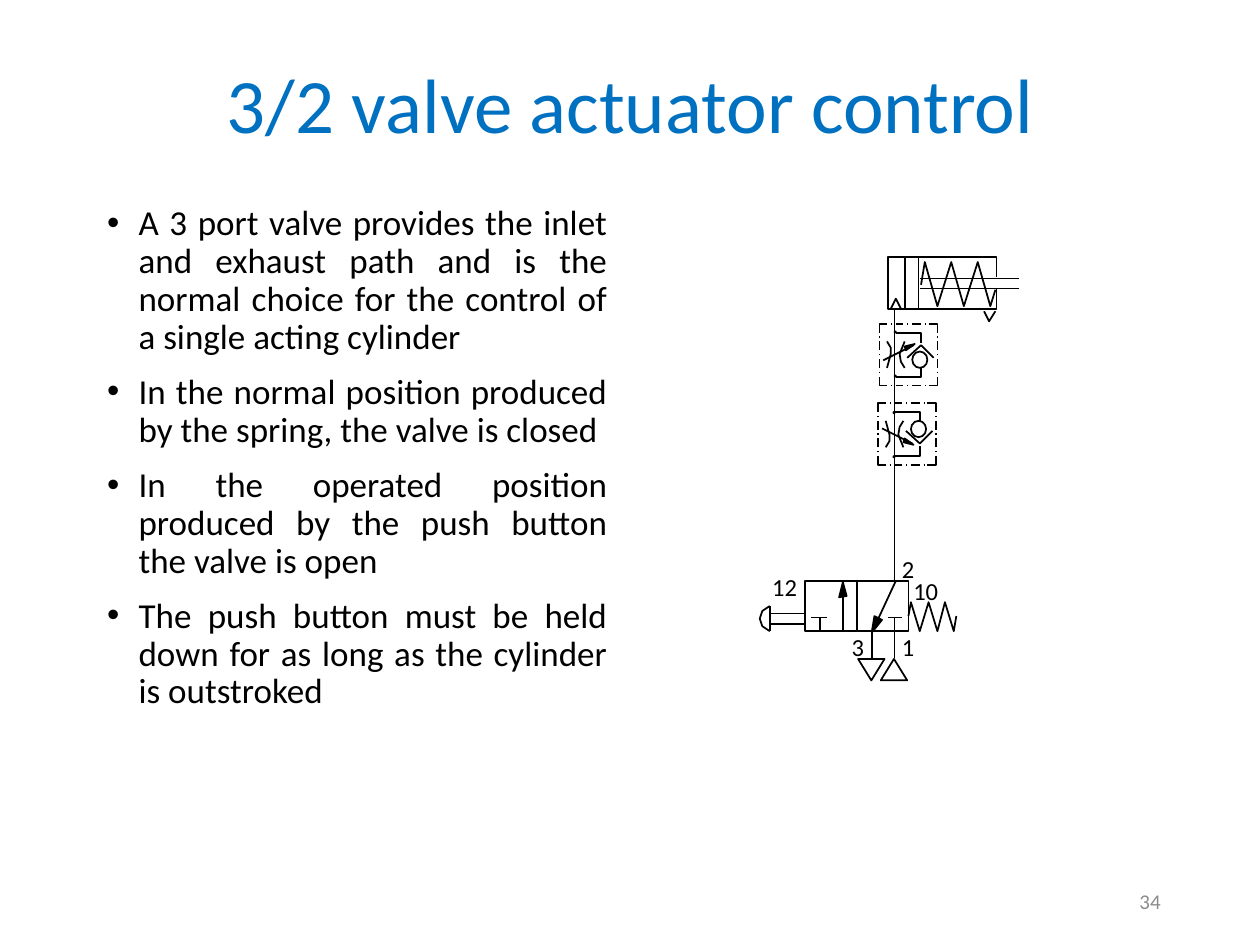
from lxml import etree
from pptx import Presentation
from pptx.dml.color import RGBColor
from pptx.enum.shapes import MSO_CONNECTOR, MSO_SHAPE
from pptx.enum.text import MSO_ANCHOR, MSO_AUTO_SIZE, PP_ALIGN
from pptx.oxml.ns import qn
from pptx.util import Pt

PX = 9144
FONT = "Calibri"
BLUE = RGBColor(0x00, 0x70, 0xC0)
BLACK = RGBColor(0x00, 0x00, 0x00)
GRAY = RGBColor(0x8C, 0x8C, 0x8C)
STRAIGHT = MSO_CONNECTOR.STRAIGHT
RECT = MSO_SHAPE.RECTANGLE
OVAL = MSO_SHAPE.OVAL
TRIANGLE = MSO_SHAPE.ISOSCELES_TRIANGLE
CENTER, JUSTIFY, RIGHT = PP_ALIGN.CENTER, PP_ALIGN.JUSTIFY, PP_ALIGN.RIGHT
MIDDLE = MSO_ANCHOR.MIDDLE
FIT_SHAPE = MSO_AUTO_SIZE.SHAPE_TO_FIT_TEXT

BULLETS = [
    "A 3 port valve provides the inlet and exhaust path and is the normal "
    "choice for the control of a single acting cylinder",
    "In the normal position produced by the spring, the valve is closed",
    "In the operated position produced by the push button the valve is open",
    "The push button must be held down for as long as the cylinder is outstroked",
]


def px(*values):
    return [v * PX for v in values]


def place(sp, *box):
    sp.left, sp.top, sp.width, sp.height = px(*box)


def style_font(p, size, color):
    for r in p.runs:
        r.font.name = FONT
        r.font.size = Pt(size)
        r.font.color.rgb = color


def style_shape(sp, filled):
    sp.shadow.inherit = False
    if filled:
        sp.fill.solid()
        sp.fill.fore_color.rgb = BLACK
    else:
        sp.fill.background()
    sp.line.color.rgb = BLACK
    sp.line.width = Pt(1)


def add_line(shapes, x1, y1, x2, y2):
    line = shapes.add_connector(STRAIGHT, *px(x1, y1, x2, y2))
    line.line.color.rgb = BLACK
    line.line.width = Pt(1)
    etree.SubElement(line._element.spPr, qn("a:effectLst"))


def add_path(shapes, points, filled=False):
    builder = shapes.build_freeform(*points[0], scale=PX)
    builder.add_line_segments(points[1:], close=filled)
    style_shape(builder.convert_to_shape(), filled)


def add_preset(shapes, kind, x, y, w, h, filled=False):
    sp = shapes.add_shape(kind, *px(x, y, w, h))
    style_shape(sp, filled)
    return sp


def add_label(shapes, text, x, y, w):
    tf = shapes.add_textbox(*px(x, y, w, 33)).text_frame
    tf.word_wrap = False
    tf.auto_size = FIT_SHAPE
    tf.text = text
    style_font(tf.paragraphs[0], 14, BLACK)


def fill_title(sp):
    place(sp, 127, 46, 747, 81)
    tf = sp.text_frame
    tf.text = "3/2 valve actuator control"
    tf.vertical_anchor = MIDDLE
    p = tf.paragraphs[0]
    p.alignment = CENTER
    p.line_spacing = 0.9
    style_font(p, 44, BLUE)


def fill_body(sp):
    place(sp, 75, 158, 417, 492)
    tf = sp.text_frame
    for i, text in enumerate(BULLETS):
        p = tf.add_paragraph() if i else tf.paragraphs[0]
        p.text = text
        pPr = p._p.get_or_add_pPr()
        pPr.set("marL", str(25 * PX))
        pPr.set("indent", str(-25 * PX))
        p.alignment = JUSTIFY
        p.line_spacing = 0.9
        p.space_before = Pt(10 if i else 0)
        style_font(p, 20, BLACK)


def draw_cylinder(shapes):
    rod = shapes.add_group_shape().shapes
    for y in (221, 229):
        add_line(rod, 730, y, 809, y)
    for x in (729, 718):
        add_line(rod, x, 204, x, 246)
    add_path(shapes, [(791, 220), (791, 204), (705, 204), (705, 245), (791, 245), (791, 229)])
    add_path(shapes, [(790, 230), (786, 243), (776, 208), (765, 243),
                      (755, 208), (744, 243), (734, 208), (731, 226)])
    add_path(shapes, [(707, 245), (711, 237), (715, 245)])
    add_path(shapes, [(781, 247), (785, 255), (790, 247)])


def draw_valve(shapes):
    for x in (710, 692):
        add_line(shapes, x, 501, x, 522)
    for left, stem, right in ((705, 710, 716), (644, 651, 656)):
        add_line(shapes, stem, 490, stem, 502)
        add_line(shapes, left, 490, right, 490)
    add_path(shapes, [(669, 462), (666, 474), (672, 473)], True)
    add_path(shapes, [(692, 502), (692, 501), (694, 489), (700, 492)], True)
    add_preset(shapes, RECT, 639, 461, 82, 40)
    add_line(shapes, 680, 460, 680, 502)
    add_line(shapes, 711, 461, 692, 502)
    add_line(shapes, 669, 502, 669, 461)
    for text, x, y, w in (("1", 706, 497, 31), ("2", 706, 435, 31), ("3", 666, 497, 31),
                          ("12", 603, 449, 42), ("10", 715, 452, 42)):
        add_label(shapes, text, x, y, w)
    add_preset(shapes, TRIANGLE, 699, 523, 21, 17)
    add_preset(shapes, TRIANGLE, 681, 523, 21, 17).rotation = 180
    add_path(shapes, [(759, 489), (757, 501), (750, 478), (744, 501),
                      (737, 478), (730, 501), (723, 478), (721, 489)])
    add_line(shapes, 611, 481, 611, 501)
    add_path(shapes, [(611, 481), (605, 485), (603, 491), (605, 497), (611, 501)])
    for y in (487, 495):
        add_line(shapes, 612, y, 638, y)


def draw_flow_control(shapes, x, y, d):
    def path(*points, filled=False):
        add_path(shapes, [(x + u, y + d * v) for u, v in points], filled)

    def line(u1, v1, u2, v2):
        add_line(shapes, x + u1, y + d * v1, x + u2, y + d * v2)

    def oval(u, v, w, h, filled=False):
        top = min(y + d * v, y + d * (v + h))
        add_preset(shapes, OVAL, x + u, top, w, h, filled)

    path((33, 15), (33, 7), (13, 7))
    path((33, 35), (33, 42), (13, 42))
    path((20, 14), (16, 24), (17, 30), (20, 35))
    path((6, 35), (9, 24), (9, 19), (6, 14))
    line(3, 29, 27, 17)
    path((28, 16), (20, 18), (21, 21), filled=True)
    for v in (6, 41):
        oval(12, v, 1, 1, True)
    for v, inner in ((0, 7), (49, 42)):
        path((39, v), (46, v), (46, inner))
        path((6, v), (0, v), (0, inner))
        for u1, u2 in ((26, 33), (13, 19), (9, 10), (22, 23), (36, 37)):
            line(u1, v, u2, v)
    for u in (0, 46):
        for v1, v2 in ((10, 11), (24, 25), (38, 39), (14, 21), (28, 35)):
            line(u, v1, u, v2)
    path((22, 27), (33, 17), (43, 27))
    oval(26, 22, 12, 13)


def add_page_number(shapes):
    tf = shapes.add_textbox(*px(706, 695, 225, 40)).text_frame
    tf.word_wrap = True
    tf.vertical_anchor = MIDDLE
    tf.text = "34"
    p = tf.paragraphs[0]
    p.alignment = RIGHT
    style_font(p, 12, GRAY)


def main():
    prs = Presentation()
    prs.slide_width, prs.slide_height = px(1000, 750)
    s = prs.slides.add_slide(prs.slide_layouts[1])
    fill_title(s.shapes.title)
    fill_body(s.placeholders[1])
    draw_cylinder(s.shapes)
    add_line(s.shapes, 710, 246, 710, 460)
    draw_valve(s.shapes.add_group_shape().shapes)
    for x, y, d in ((697, 369, -1), (698, 257, 1)):
        draw_flow_control(s.shapes.add_group_shape().shapes, x, y, d)
    add_page_number(s.shapes)
    prs.save("out.pptx")


if __name__ == "__main__":
    main()
